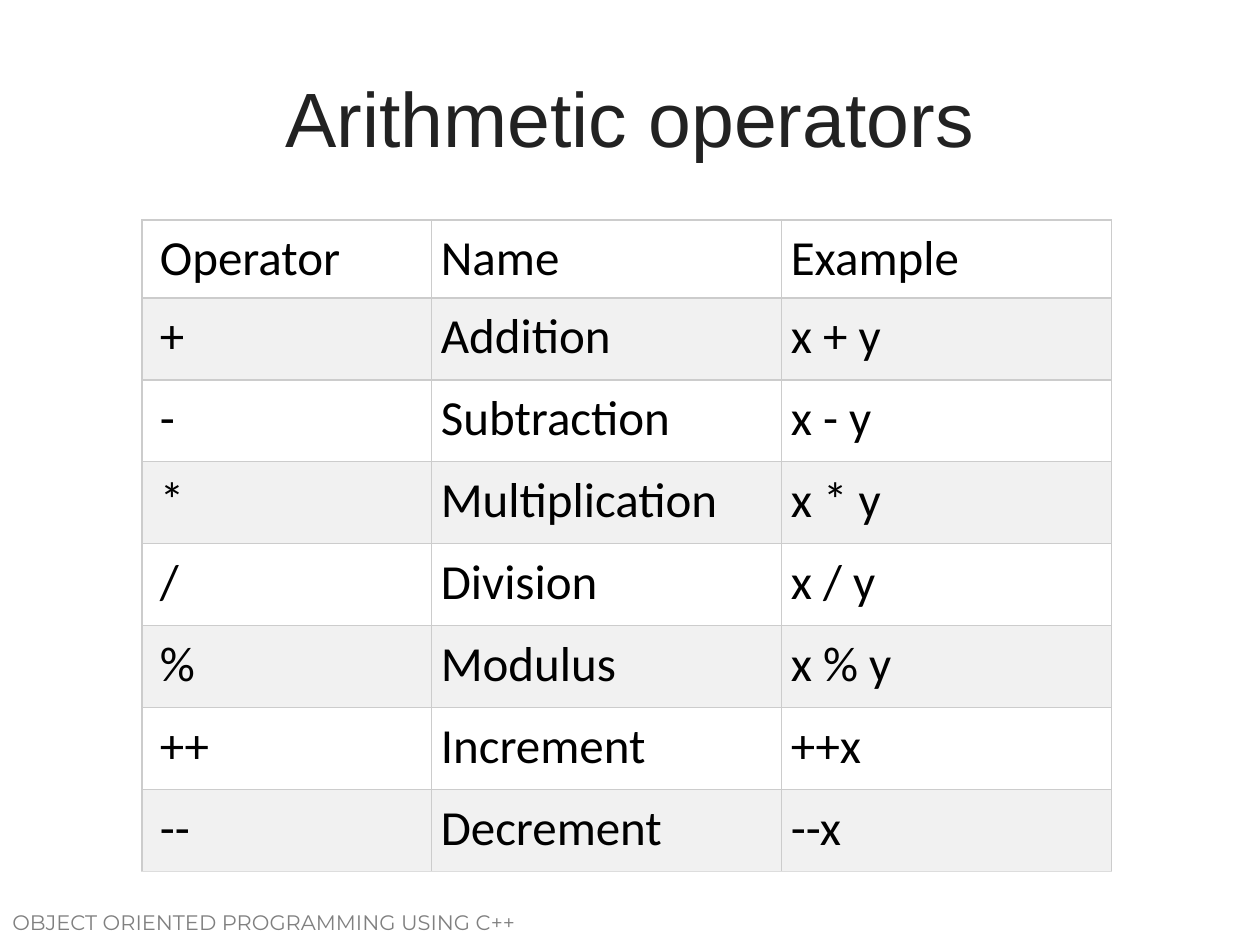
"""Build a slide with a table of arithmetic operators."""
from typing import NamedTuple

from lxml import etree
from pptx import Presentation
from pptx.dml.color import RGBColor
from pptx.enum.text import MSO_ANCHOR, PP_ALIGN
from pptx.oxml.ns import qn
from pptx.util import Emu, Pt

PIXEL = 914400 // 126
CENTER = PP_ALIGN.CENTER
LEFT = PP_ALIGN.LEFT
MIDDLE = MSO_ANCHOR.MIDDLE
TOP = MSO_ANCHOR.TOP

BLACK = RGBColor(0x00, 0x00, 0x00)
WHITE = RGBColor(0xFF, 0xFF, 0xFF)
TITLE_COLOR = RGBColor(0x22, 0x22, 0x22)
FOOTER_COLOR = RGBColor(0x80, 0x80, 0x80)
STRIPE = RGBColor(0xF1, 0xF1, 0xF1)
GRID = RGBColor(0xCC, 0xCC, 0xCC)
GRID_BOTTOM = RGBColor(0xDD, 0xDD, 0xDD)

COLUMN_WIDTHS = (290, 350, 330)
HEADER_HEIGHT = 78
ROW_HEIGHT = 82
CELL_MARGIN = 9


class Operator(NamedTuple):
    symbol: str
    name: str
    example: str


ROWS = (
    Operator("Operator", "Name", "Example"),
    Operator("+", "Addition", "x + y"),
    Operator("-", "Subtraction", "x - y"),
    Operator("*", "Multiplication", "x * y"),
    Operator("/", "Division", "x / y"),
    Operator("%", "Modulus", "x % y"),
    Operator("++", "Increment", "++x"),
    Operator("--", "Decrement", "--x"),
)


def px(length: int) -> Emu:
    return Emu(length * PIXEL)


def write(frame, text: str, font_name: str, size: int, color: RGBColor, alignment=LEFT) -> None:
    frame.word_wrap = True
    paragraph = frame.paragraphs[0]
    paragraph.text = text
    paragraph.alignment = alignment
    paragraph.font.name = font_name
    paragraph.font.size = Pt(size)
    paragraph.font.color.rgb = color


def add_border(cell, side: str, color: RGBColor) -> None:
    properties = cell._tc.get_or_add_tcPr()
    line = etree.SubElement(properties, qn(f"a:ln{side}"), w=str(Pt(0.75)))
    fill = etree.SubElement(line, qn("a:solidFill"))
    etree.SubElement(fill, qn("a:srgbClr"), val=str(color))


def format_cell(cell, text: str, first_column: bool, last_row: bool, fill: RGBColor) -> None:
    write(cell.text_frame, text, "Calibri", 28, BLACK)
    cell.vertical_anchor = TOP
    cell.margin_left = px(CELL_MARGIN * 2 if first_column else CELL_MARGIN)
    cell.margin_right = cell.margin_top = cell.margin_bottom = px(CELL_MARGIN)
    for side in "LRTB":
        add_border(cell, side, GRID_BOTTOM if last_row and side == "B" else GRID)
    cell.fill.solid()
    cell.fill.fore_color.rgb = fill


def add_operator_table(slide) -> None:
    height = HEADER_HEIGHT + ROW_HEIGHT * (len(ROWS) - 1)
    table = slide.shapes.add_table(
        len(ROWS), len(COLUMN_WIDTHS), px(142), px(220), px(sum(COLUMN_WIDTHS)), px(height)
    ).table
    for column, width in zip(table.columns, COLUMN_WIDTHS):
        column.width = px(width)
    for row_index, operator in enumerate(ROWS):
        table.rows[row_index].height = px(ROW_HEIGHT if row_index else HEADER_HEIGHT)
        fill = STRIPE if row_index % 2 else WHITE
        last_row = row_index == len(ROWS) - 1
        for column_index, text in enumerate(operator):
            cell = table.cell(row_index, column_index)
            format_cell(cell, text, column_index == 0, last_row, fill)


def main() -> None:
    presentation = Presentation()
    presentation.slide_width = px(1260)
    presentation.slide_height = px(945)
    slide = presentation.slides.add_slide(presentation.slide_layouts[5])

    footer = slide.shapes.add_textbox(px(0), px(903), px(630), px(53))
    write(footer.text_frame, "OBJECT ORIENTED PROGRAMMING USING C++", "Montserrat", 12, FOOTER_COLOR)

    title = slide.shapes.title
    title.left, title.top, title.width, title.height = px(63), px(38), px(1134), px(158)
    write(title.text_frame, "Arithmetic\u00a0operators", "Arial", 44, TITLE_COLOR, CENTER)
    title.text_frame.vertical_anchor = MIDDLE

    add_operator_table(slide)
    presentation.save("out.pptx")


main()
